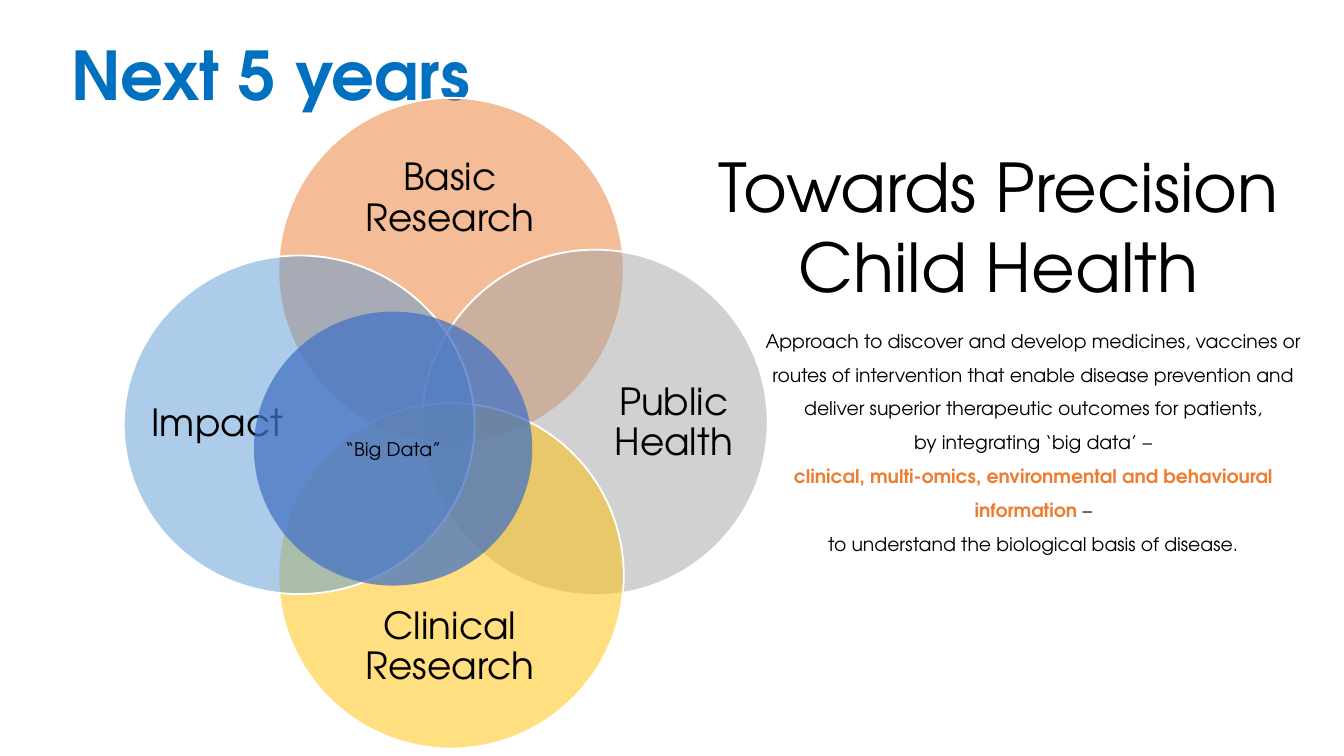
import dataclasses

import lxml.etree
import pptx
import pptx.dml.color
import pptx.enum.shapes
import pptx.enum.text
import pptx.oxml.ns
import pptx.shapes.autoshape
import pptx.slide
import pptx.text.text
import pptx.util
from pptx.util import Cm

FONT = "TeX Gyre Adventor"
COLORS = {
    "white": "FFFFFF",
    "black": "000000",
    "title": "0070C0",
    "orange": "ED7D31",
    "gray": "A5A5A5",
    "gold": "FFC000",
    "sky": "5B9BD5",
    "blue": "4472C4",
}
ALIGN = pptx.enum.text.PP_ALIGN
ANCHOR = pptx.enum.text.MSO_ANCHOR


@dataclasses.dataclass(frozen=True)
class Box:
    """A rectangle in centimetres."""

    left: float
    top: float
    width: float
    height: float

    def lengths(self) -> tuple[Cm, Cm, Cm, Cm]:
        return Cm(self.left), Cm(self.top), Cm(self.width), Cm(self.height)


@dataclasses.dataclass(frozen=True)
class Run:
    text: str
    color: str = "black"
    bold: bool = False


@dataclasses.dataclass(frozen=True)
class Field:
    """One circle of the diagram and the area of its label."""

    label: str
    color: str
    circle: Box
    label_area: Box


FIELDS = [
    Field("Basic Research", "orange", Box(5.26, 1.85, 6.53, 6.53), Box(5.99, 2.72, 5.03, 2.08)),
    Field("Public Health", "gray", Box(7.98, 4.72, 6.53, 6.53), Box(11.48, 5.49, 2.51, 5.03)),
    Field("Clinical Research", "gold", Box(5.26, 7.62, 6.53, 6.53), Box(5.99, 11.2, 5.03, 2.08)),
    Field("Impact", "sky", Box(2.34, 4.83, 6.63, 6.4), Box(2.84, 5.56, 2.54, 4.93)),
]
APPROACH = [
    [Run("Approach to discover and develop medicines, vaccines or routes of intervention "
         "that enable disease prevention and deliver superior therapeutic outcomes for patients,")],
    [Run("by integrating ‘big data’ –")],
    [Run("clinical, multi-omics, environmental and behavioural information ", "orange", True),
     Run("–")],
    [Run("to understand the biological basis of disease.")],
]


def rgb(color: str) -> pptx.dml.color.RGBColor:
    return pptx.dml.color.RGBColor.from_string(COLORS[color])


def write_text(
    frame: pptx.text.text.TextFrame,
    paragraphs: list[list[Run]],
    *,
    size: float,
    align: ALIGN = ALIGN.CENTER,
    anchor: ANCHOR = ANCHOR.TOP,
    line_spacing: float = 1.0,
    inset: float | None = None,
) -> None:
    """Fill a text frame; an inset in centimetres replaces all four margins."""
    frame.word_wrap = True
    frame.auto_size = pptx.enum.text.MSO_AUTO_SIZE.NONE
    frame.vertical_anchor = anchor
    if inset is not None:
        frame.margin_left = frame.margin_right = Cm(inset)
        frame.margin_top = frame.margin_bottom = Cm(inset)
    for index, runs in enumerate(paragraphs):
        paragraph = frame.add_paragraph() if index else frame.paragraphs[0]
        paragraph.alignment = align
        paragraph.line_spacing = line_spacing
        paragraph.space_before = pptx.util.Pt(0)
        for part in runs:
            run = paragraph.add_run()
            run.text = part.text
            run.font.name = FONT
            run.font.size = pptx.util.Pt(size)
            run.font.bold = part.bold
            run.font.color.rgb = rgb(part.color)


def add_circle(
    slide: pptx.slide.Slide, box: Box, color: str, opacity: int, outlined: bool = True
) -> pptx.shapes.autoshape.Shape:
    """Draw a translucent ellipse, with opacity in percent."""
    circle = slide.shapes.add_shape(pptx.enum.shapes.MSO_SHAPE.OVAL, *box.lengths())
    circle.shadow.inherit = False
    circle.fill.solid()
    circle.fill.fore_color.rgb = rgb(color)
    qn = pptx.oxml.ns.qn
    fill_color = circle.fill._xPr.find(qn("a:solidFill")).find(qn("a:srgbClr"))
    lxml.etree.SubElement(fill_color, qn("a:alpha"), val=str(opacity * 1000))
    if outlined:
        circle.line.color.rgb = rgb("white")
        circle.line.width = pptx.util.Pt(1)
    else:
        circle.line.fill.background()
    return circle


def add_field(slide: pptx.slide.Slide, field: Field) -> None:
    add_circle(slide, field.circle, field.color, 50)
    label = slide.shapes.add_textbox(*field.label_area.lengths())
    write_text(label.text_frame, [[Run(field.label)]], size=20,
               anchor=ANCHOR.MIDDLE, line_spacing=0.9, inset=0)


def main() -> None:
    presentation = pptx.Presentation()
    presentation.slide_width, presentation.slide_height = Cm(25.4), Cm(14.29)
    slide = presentation.slides.add_slide(presentation.slide_layouts.get_by_name("Title Only"))
    slide.background.fill.solid()
    slide.background.fill.fore_color.rgb = rgb("white")

    title = slide.shapes.title
    title.left, title.top, title.width, title.height = Box(1.09, 0.51, 10.69, 1.83).lengths()
    write_text(title.text_frame, [[Run("Next 5 years", "title", True)]], size=36, align=ALIGN.LEFT)

    for field in FIELDS:
        add_field(slide, field)
    big_data = add_circle(slide, Box(4.8, 5.89, 5.26, 5.18), "blue", 74, outlined=False)
    write_text(big_data.text_frame, [[Run("“Big Data”")]], size=10.1, anchor=ANCHOR.MIDDLE)

    headline = slide.shapes.add_textbox(*Box(13.18, 2.62, 11.38, 3.33).lengths())
    write_text(headline.text_frame, [[Run("Towards Precision Child Health")]], size=36)
    approach = slide.shapes.add_textbox(*Box(13.79, 5.89, 11.48, 4.72).lengths())
    write_text(approach.text_frame, APPROACH, size=10.1, line_spacing=1.5)

    presentation.save("out.pptx")


if __name__ == "__main__":
    main()
